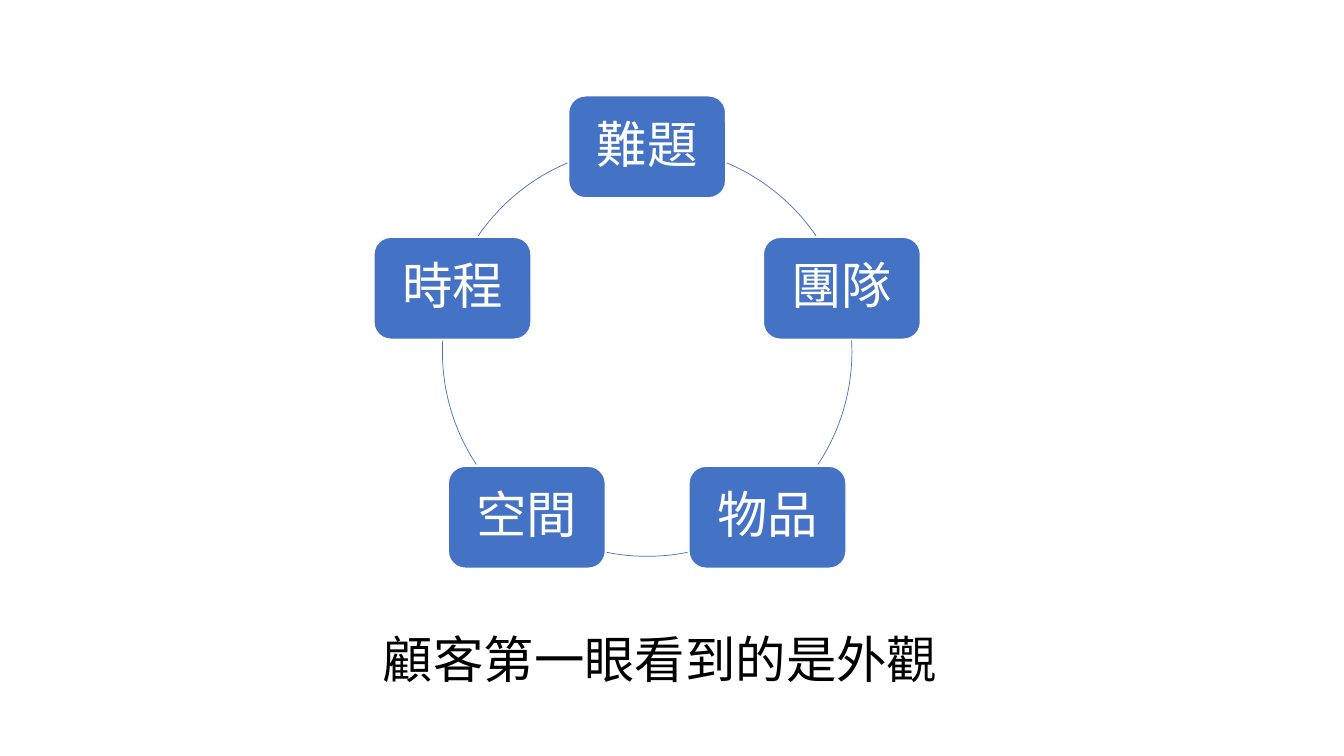
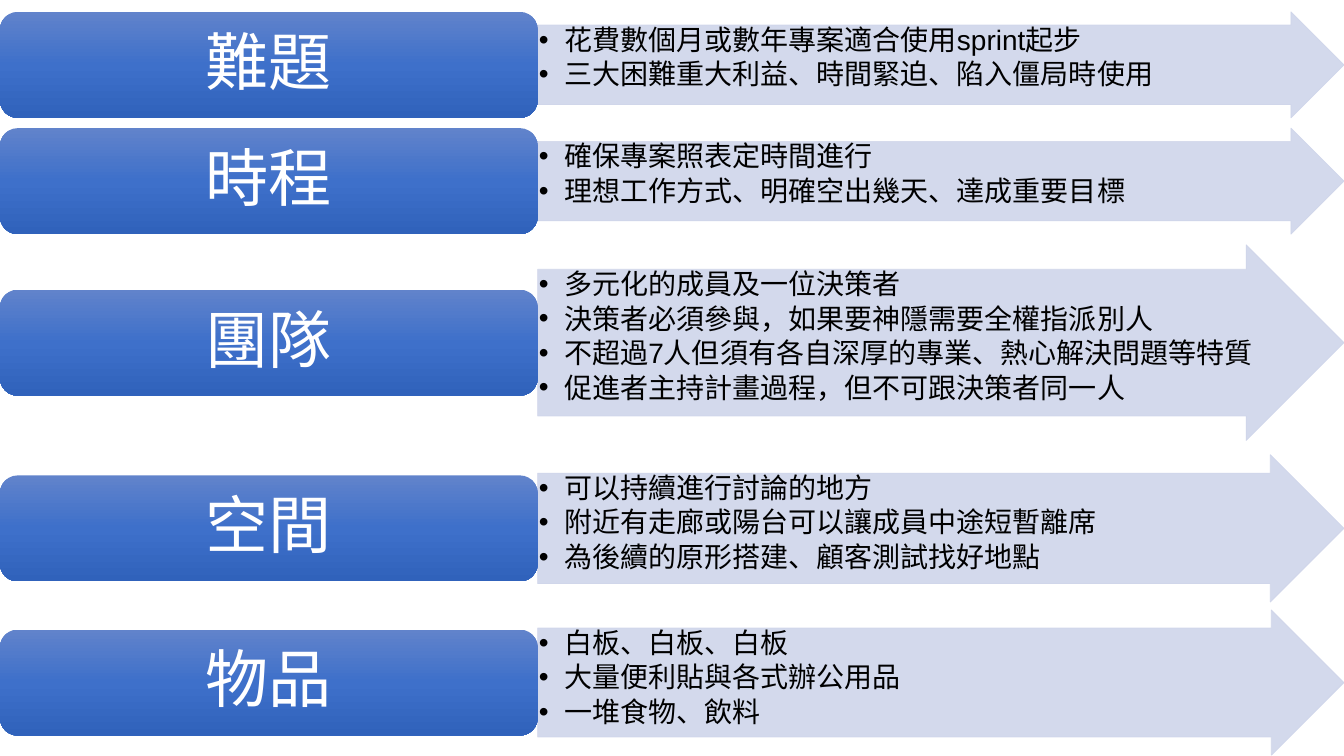
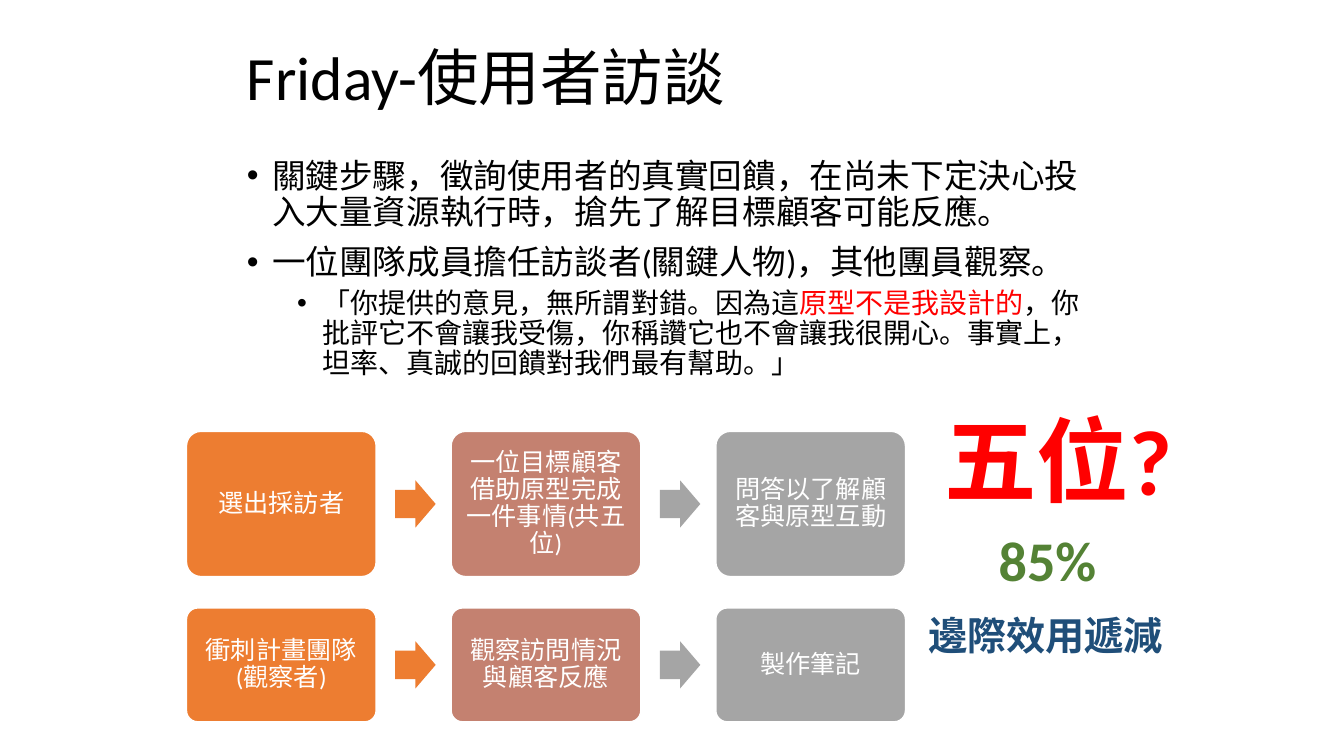
from copy import deepcopy
from dataclasses import dataclass
from math import cos, radians, sin

from lxml import etree
from pptx import Presentation
from pptx.dml.color import RGBColor
from pptx.enum import shapes, text
from pptx.oxml.ns import qn
from pptx.util import Cm, Pt


@dataclass(frozen=True)
class Theme:
    blue: str = "4472C4"
    pale_blue: str = "CFD5EA"
    gradient: tuple = ("6183CB", "3E70CA", "3062BB")
    orange: str = "ED7D31"
    rose: str = "C48170"
    grey: str = "A5A5A5"
    red: str = "FF0000"
    green: str = "548235"
    navy: str = "1F4E79"
    white: str = "FFFFFF"
    black: str = "000000"
    font: str = "Calibri"
    latin_font: str = "Arial"
    title: int = 44
    row_label: int = 45
    large: int = 36
    body: int = 24
    detail: int = 20
    step: int = 18
    line_spacing: float = 0.9


@dataclass(frozen=True)
class Box:
    """A rectangle in centimetres."""
    left: float
    top: float
    width: float
    height: float

    @property
    def lengths(self):
        return Cm(self.left), Cm(self.top), Cm(self.width), Cm(self.height)


@dataclass(frozen=True)
class CycleNode:
    label: str
    arc_start: float
    arc_end: float


@dataclass(frozen=True)
class TopicRow:
    label: str
    top: float
    height: float
    points: tuple
    font: str = Theme.font


@dataclass(frozen=True)
class Bullet:
    runs: tuple  # (wording, colour) pairs
    size: int
    level: int = 0
    before: int = 0
    after: int = 0
    font: str = Theme.font


@dataclass(frozen=True)
class ProcessRow:
    top: float
    height: float
    steps: tuple


@dataclass(frozen=True)
class Callout:
    wording: str
    box: Box
    size: int
    colour: str
    bold: bool = True


THEME = Theme()
SLIDE_W, SLIDE_H = 33.87, 19.05
TITLE_ONLY, BLANK = 5, 6
SHAPE = shapes.MSO_SHAPE

RING_X, RING_Y, RING_RADIUS = 16.31, 8.86, 5.16
NODE_W, NODE_H = 3.96, 2.57
CYCLE = (
    CycleNode("難題", 292.9, 325.6),
    CycleNode("團隊", 356.9, 33.5),
    CycleNode("物品", 78.6, 101.4),
    CycleNode("空間", 146.5, 183.1),
    CycleNode("時程", 214.4, 247.1),
)
CYCLE_CAPTION = Callout("顧客第一眼看到的是外觀", Box(9.4, 15.7, 14.5, 1.8),
                        THEME.large, THEME.black, bold=False)

LABEL_W, LABEL_H = 13.55, 2.67
TOPICS = (
    TopicRow("難題", 0.3, 2.67, (
        "花費數個月或數年專案適合使用sprint起步",
        "三大困難重大利益、時間緊迫、陷入僵局時使用"), THEME.latin_font),
    TopicRow("時程", 3.23, 2.67, (
        "確保專案照表定時間進行",
        "理想工作方式、明確空出幾天、達成重要目標")),
    TopicRow("團隊", 6.17, 4.93, (
        "多元化的成員及一位決策者",
        "決策者必須參與，如果要神隱需要全權指派別人",
        "不超過7人但須有各自深厚的專業、熱心解決問題等特質",
        "促進者主持計畫過程，但不可跟決策者同一人"), THEME.latin_font),
    TopicRow("空間", 11.46, 3.71, (
        "可以持續進行討論的地方",
        "附近有走廊或陽台可以讓成員中途短暫離席",
        "為後續的原形搭建、顧客測試找好地點")),
    TopicRow("物品", 15.37, 3.66, (
        "白板、白板、白板",
        "大量便利貼與各式辦公用品",
        "一堆食物、飲料")),
)

INTERVIEW_TITLE = "Friday-使用者訪談"
INTERVIEW_NOTES = (
    Bullet((("關鍵步驟，徵詢使用者的真實回饋，在尚未下定決心投入大量資源執行時，"
             "搶先了解目標顧客可能反應。", THEME.black),), THEME.body, before=10),
    Bullet((("一位團隊成員擔任訪談者(關鍵人物)，其他團員觀察。", THEME.black),),
           THEME.body, before=10),
    Bullet((("「你提供的意見，無所謂對錯。因為這", THEME.black),
            ("原型不是我設計的", THEME.red),
            ("，你批評它不會讓我受傷，你稱讚它也不會讓我很開心。事實上，"
             "坦率、真誠的回饋對我們最有幫助。」", THEME.black)),
           THEME.detail, level=1, before=5),
)
STEP_LEFT, STEP_W, STEP_PITCH = 4.7, 4.78, 6.67
ARROW_OFFSET, ARROW_W, ARROW_H = 5.26, 1.02, 1.19
STEP_COLOURS = (THEME.orange, THEME.rose, THEME.grey)
ARROW_COLOURS = (THEME.orange, THEME.grey)
PROCESSES = (
    ProcessRow(10.87, 3.66, ("選出採訪者", "一位目標顧客借助原型完成一件事情(共五位)",
                             "問答以了解顧客與原型互動")),
    ProcessRow(15.32, 2.87, ("衝刺計畫團隊(觀察者)", "觀察訪問情況與顧客反應",
                             "製作筆記")),
)
CALLOUTS = (
    Callout("五位?", Box(23.55, 10.03, 6.3, 3.07), 66, THEME.red),
    Callout("85%", Box(24.92, 13.13, 2.97, 1.96), 40, THEME.green),
    Callout("邊際效用遞減", Box(23.14, 15.29, 6.5, 1.45), 28, THEME.navy),
)


def add_preset(slide, kind, box: Box, fill: str | None = None,
               line: str | None = None, line_width: float = 1):
    """Add a preset shape without shadow; None leaves fill or line empty."""
    shape = slide.shapes.add_shape(kind, *box.lengths)
    shape.shadow.inherit = False
    if fill:
        shape.fill.solid()
        shape.fill.fore_color.rgb = RGBColor.from_string(fill)
    else:
        shape.fill.background()
    if line:
        shape.line.color.rgb = RGBColor.from_string(line)
        shape.line.width = Pt(line_width)
    else:
        shape.line.fill.background()
    return shape


def set_margins(frame, horizontal: float, vertical: float) -> None:
    frame.margin_left = frame.margin_right = Cm(horizontal)
    frame.margin_top = frame.margin_bottom = Cm(vertical)


def set_font(paragraph, size: int, colour: str | None = None,
             name: str = THEME.font, bold: bool = False) -> None:
    font = paragraph.font
    font.name, font.size, font.bold = name, Pt(size), bold
    if colour:
        font.color.rgb = RGBColor.from_string(colour)


def write_label(shape, wording: str, size: int, margin: float) -> None:
    """Centre white text inside a shape."""
    frame = shape.text_frame
    frame.word_wrap = True
    frame.vertical_anchor = text.MSO_ANCHOR.MIDDLE
    set_margins(frame, margin, margin)
    paragraph = frame.paragraphs[0]
    paragraph.text = wording
    paragraph.alignment = text.PP_ALIGN.CENTER
    paragraph.line_spacing = THEME.line_spacing
    set_font(paragraph, size, THEME.white)


def write_bullets(frame, bullets) -> None:
    frame.word_wrap = True
    frame.vertical_anchor = text.MSO_ANCHOR.TOP
    for index, bullet in enumerate(bullets):
        paragraph = frame.add_paragraph() if index else frame.paragraphs[0]
        paragraph.alignment = text.PP_ALIGN.LEFT
        paragraph.level = bullet.level
        paragraph.line_spacing = THEME.line_spacing
        paragraph.space_before = Pt(bullet.before)
        paragraph.space_after = Pt(bullet.after)
        properties = paragraph._p.get_or_add_pPr()
        properties.set("marL", str(Cm(0.64 + 1.27 * bullet.level)))
        properties.set("indent", str(Cm(-0.64)))
        etree.SubElement(properties, qn("a:buFont"), typeface="Arial")
        etree.SubElement(properties, qn("a:buChar"), char="•")
        set_font(paragraph, bullet.size, name=bullet.font)
        for wording, colour in bullet.runs:
            run = paragraph.add_run()
            run.text = wording
            run.font.color.rgb = RGBColor.from_string(colour)


def add_callout(slide, callout: Callout) -> None:
    frame = slide.shapes.add_textbox(*callout.box.lengths).text_frame
    frame.word_wrap = False
    paragraph = frame.paragraphs[0]
    paragraph.text = callout.wording
    set_font(paragraph, callout.size, callout.colour, bold=callout.bold)


def set_opacity(shape, percent: int) -> None:
    for colour in shape.element.spPr.iter(qn("a:srgbClr")):
        etree.SubElement(colour, qn("a:alpha"), val=str(percent * 1000))


def set_gradient(shape, colours) -> None:
    """Fill top to bottom with three evenly spaced colours."""
    shape.fill.gradient()
    shape.fill.gradient_angle = 270
    stops = shape.element.spPr.find(".//" + qn("a:gsLst"))
    stops.insert(1, deepcopy(stops[0]))
    for index, (stop, colour) in enumerate(zip(shape.fill.gradient_stops, colours)):
        stop.position = index / (len(colours) - 1)
        stop.color.rgb = RGBColor.from_string(colour)


def build_cycle(deck) -> None:
    slide = deck.slides.add_slide(deck.slide_layouts[BLANK])
    ring = Box(RING_X - RING_RADIUS, RING_Y - RING_RADIUS,
               2 * RING_RADIUS, 2 * RING_RADIUS)
    for index, node in enumerate(CYCLE):
        angle = radians(360 / len(CYCLE) * index - 90)
        centre_x = RING_X + RING_RADIUS * cos(angle)
        centre_y = RING_Y + RING_RADIUS * sin(angle)
        box = Box(centre_x - NODE_W / 2, centre_y - NODE_H / 2, NODE_W, NODE_H)
        tile = add_preset(slide, SHAPE.ROUNDED_RECTANGLE, box, THEME.blue, THEME.white)
        write_label(tile, node.label, THEME.large, 0.38)
        arc = add_preset(slide, SHAPE.ARC, ring, line=THEME.blue, line_width=0.5)
        # Arc angles are stored in 1/60000 degree, adjustments in 1/100000.
        arc.adjustments[0] = node.arc_start * 0.6
        arc.adjustments[1] = node.arc_end * 0.6
    add_callout(slide, CYCLE_CAPTION)


def build_topics(deck) -> None:
    slide = deck.slides.add_slide(deck.slide_layouts[BLANK])
    for row in TOPICS:
        arrow = add_preset(slide, SHAPE.RIGHT_ARROW,
                           Box(LABEL_W, row.top, SLIDE_W - LABEL_W, row.height),
                           THEME.pale_blue, THEME.pale_blue, 0.5)
        arrow.adjustments[0] = 0.75
        set_opacity(arrow, 90)
        set_margins(arrow.text_frame, 0.03, 0.03)
        write_bullets(arrow.text_frame, [
            Bullet(((point, THEME.black),), THEME.detail, after=3, font=row.font)
            for point in row.points])
        label_top = row.top + (row.height - LABEL_H) / 2
        label = add_preset(slide, SHAPE.ROUNDED_RECTANGLE,
                           Box(0, label_top, LABEL_W, LABEL_H))
        set_gradient(label, THEME.gradient)
        write_label(label, row.label, THEME.row_label, 0.24)


def add_process(slide, row: ProcessRow) -> None:
    for index, (wording, colour) in enumerate(zip(row.steps, STEP_COLOURS)):
        left = STEP_LEFT + index * STEP_PITCH
        step = add_preset(slide, SHAPE.ROUNDED_RECTANGLE,
                          Box(left, row.top, STEP_W, row.height), colour, THEME.white)
        step.adjustments[0] = 0.1
        write_label(step, wording, THEME.step, 0.18)
        if index < len(ARROW_COLOURS):
            arrow_top = row.top + (row.height - ARROW_H) / 2
            arrow = add_preset(slide, SHAPE.RIGHT_ARROW,
                               Box(left + ARROW_OFFSET, arrow_top, ARROW_W, ARROW_H),
                               ARROW_COLOURS[index])
            arrow.adjustments[0] = 0.6


def build_interview(deck) -> None:
    slide = deck.slides.add_slide(deck.slide_layouts[TITLE_ONLY])
    title = slide.shapes.title
    title.left, title.top, title.width, title.height = Box(5.97, 0.2, 21.89, 3.68).lengths
    title.text_frame.vertical_anchor = text.MSO_ANCHOR.MIDDLE
    heading = title.text_frame.paragraphs[0]
    heading.text = INTERVIEW_TITLE
    heading.alignment = text.PP_ALIGN.LEFT
    heading.line_spacing = THEME.line_spacing
    set_font(heading, THEME.title, THEME.black)

    notes = slide.shapes.add_textbox(*Box(5.97, 3.89, 21.89, 12.09).lengths)
    write_bullets(notes.text_frame, INTERVIEW_NOTES)
    for row in PROCESSES:
        add_process(slide, row)
    for callout in CALLOUTS:
        add_callout(slide, callout)


def main() -> None:
    deck = Presentation()
    deck.slide_width, deck.slide_height = Cm(SLIDE_W), Cm(SLIDE_H)
    build_cycle(deck)
    build_topics(deck)
    build_interview(deck)
    deck.save("out.pptx")


if __name__ == "__main__":
    main()
